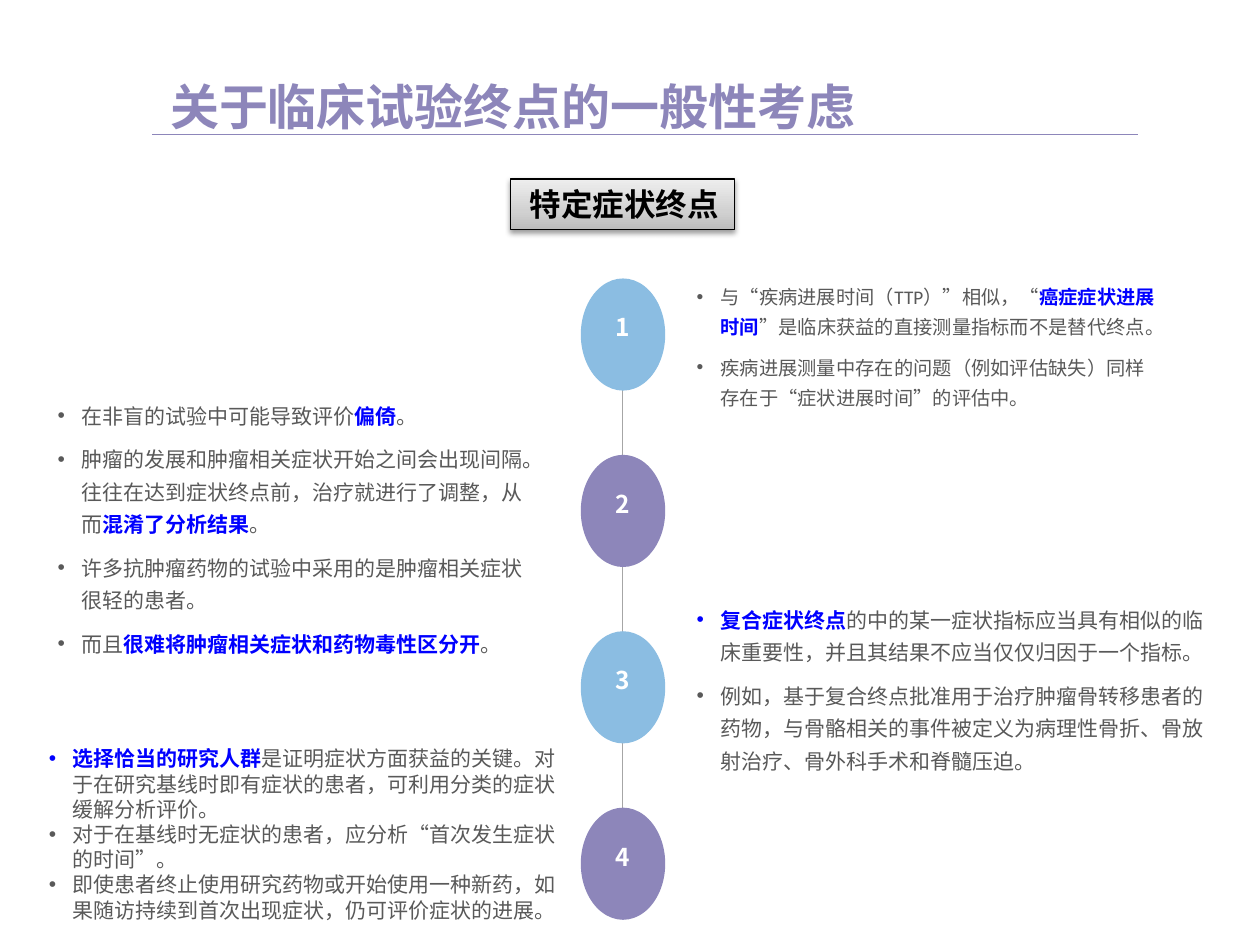
from pptx import Presentation
from pptx.dml.color import RGBColor
from pptx.enum.lang import MSO_LANGUAGE_ID
from pptx.enum.shapes import MSO_CONNECTOR, MSO_SHAPE
from pptx.enum.text import MSO_ANCHOR, MSO_AUTO_SIZE, PP_ALIGN
from pptx.oxml import parse_xml
from pptx.oxml.ns import nsdecls, qn
from pptx.util import Inches, Pt

RECT, OVAL = MSO_SHAPE.RECTANGLE, MSO_SHAPE.OVAL
LINE = MSO_CONNECTOR.STRAIGHT
TOP, GROW = MSO_ANCHOR.TOP, MSO_AUTO_SIZE.SHAPE_TO_FIT_TEXT
LEFT, CENTER = PP_ALIGN.LEFT, PP_ALIGN.CENTER
CHINESE = MSO_LANGUAGE_ID.SIMPLIFIED_CHINESE

PURPLE = RGBColor(0x8D, 0x86, 0xBA)
SKY = RGBColor(0x8B, 0xBD, 0xE2)
GRAY = RGBColor(0x59, 0x59, 0x59)
SILVER = RGBColor(0xA6, 0xA6, 0xA6)
BLUE = RGBColor(0x00, 0x00, 0xFF)
BLACK = RGBColor(0x00, 0x00, 0x00)
WHITE = RGBColor(0xFF, 0xFF, 0xFF)
STOPS = ((0, "BDBDBD"), (35, "D1D1D1"), (100, "EEEEEE"))

SANS, LATIN = "Noto Sans CJK SC", "Calibri"
TITLE = {"name": SANS, "size": Pt(28), "bold": True, "color": PURPLE}
HEAD = {"name": LATIN, "size": Pt(18), "bold": True, "color": BLACK}
DIGIT = {"name": SANS, "size": Pt(14), "bold": True, "color": WHITE}
SMALL = {"name": LATIN, "size": Pt(11), "bold": False, "color": GRAY}
BODY = {**SMALL, "size": Pt(12)}
STRONG = {"bold": True, "color": BLUE}
LOOSE = {"line_spacing": 1.3, "space_before": Pt(6)}
TIGHT = {"line_spacing": 1.0, "space_before": Pt(0)}

NOTES = (
    ((5.43, 2.16, 3.88, 1.15), SMALL, LOOSE, (
        "与“疾病进展时间（TTP）”相似，“*癌症症状进展时间*”是临床获益的直接测量指标而不是替代终点。",
        "疾病进展测量中存在的问题（例如评估缺失）同样存在于“症状进展时间”的评估中。")),
    ((5.43, 4.71, 4.22, 1.5), BODY, LOOSE, (
        "*复合症状终点*的中的某一症状指标应当具有相似的临床重要性，并且其结果不应当仅仅归因于一个指标。",
        "例如，基于复合终点批准用于治疗肿瘤骨转移患者的药物，与骨骼相关的事件被定义为病理性骨折、"
        "骨放射治疗、骨外科手术和脊髓压迫。")),
    ((0.36, 3.09, 4.05, 2.19), BODY, LOOSE, (
        "在非盲的试验中可能导致评价*偏倚*。",
        "肿瘤的发展和肿瘤相关症状开始之间会出现间隔。往往在达到症状终点前，治疗就进行了调整，"
        "从而*混淆了分析结果*。",
        "许多抗肿瘤药物的试验中采用的是肿瘤相关症状很轻的患者。",
        "而且*很难将肿瘤相关症状和药物毒性区分开*。")),
    ((0.29, 5.87, 4.32, 1.51), BODY, TIGHT, (
        "*选择恰当的研究人群*是证明症状方面获益的关键。对于在研究基线时即有症状的患者，"
        "可利用分类的症状缓解分析评价。",
        "对于在基线时无症状的患者，应分析“首次发生症状的时间”。",
        "即使患者终止使用研究药物或开始使用一种新药，如果随访持续到首次出现症状，仍可评价症状的进展。")),
)


class Deck:
    """Holds the style and the current slide, with a method for each kind of element."""

    def __init__(self, slide):
        self.shapes = slide.shapes

    def style(self, font, form):
        for key, value in {**form, "language_id": CHINESE}.items():
            if key == "color":
                font.color.rgb = value
            else:
                setattr(font, key, value)

    def frame(self, shape, wrap=True):
        frame = shape.text_frame
        form = {"word_wrap": wrap, "auto_size": GROW, "vertical_anchor": TOP}
        for key, value in form.items():
            setattr(frame, key, value)
        return frame

    def text(self, para, text, form, align=LEFT):
        para.alignment = align
        for i, part in enumerate(text.split("*")):
            if part:
                run = para.add_run()
                run.text = part
                self.style(run.font, {**form, **STRONG} if i % 2 else form)

    def line(self, x1, y1, x2, y2, color, width):
        line = self.shapes.add_connector(LINE, *map(Inches, (x1, y1, x2, y2)))
        line.line.color.rgb = color
        line.line.width = Pt(width)
        line._element.spPr.append(parse_xml(f"<a:effectLst {nsdecls('a')}/>"))

    def shape(self, home, kind, box, color):
        shape = home.add_shape(kind, *map(Inches, box))
        shape.shadow.inherit = False
        shape.fill.solid()
        shape.fill.fore_color.rgb = color
        shape.line.fill.background()
        return shape

    def badge(self, label, x, y, color):
        home = self.shapes.add_group_shape().shapes
        self.shape(home, OVAL, (x, y, 0.67, 0.89), color)
        tag = self.shape(home, RECT, (x + 0.17, y + 0.22, 0.32, 0.34), color)
        frame = self.frame(tag, wrap=False)
        self.text(frame.paragraphs[0], label, DIGIT, CENTER)

    def notes(self, box, form, gaps, lines):
        frame = self.frame(self.shapes.add_textbox(*map(Inches, box)))
        for i, text in enumerate(lines):
            para = frame.add_paragraph() if i else frame.paragraphs[0]
            for key, value in gaps.items():
                if i or key != "space_before":
                    setattr(para, key, value)
            props = para._p.get_or_add_pPr()
            props.set("marL", str(Inches(0.19)))
            props.set("indent", str(Inches(-0.19)))
            props.append(parse_xml(f'<a:buFont {nsdecls("a")} typeface="Arial"/>'))
            props.append(parse_xml(f'<a:buChar {nsdecls("a")} char="•"/>'))
            self.text(para, text, form)

    def title(self, text, box):
        frame = self.frame(self.shapes.add_textbox(*map(Inches, box)))
        for side in ("left", "top", "right", "bottom"):
            setattr(frame, f"margin_{side}", 0)
        self.text(frame.paragraphs[0], text, TITLE)

    def banner(self, text, box):
        shape = self.shapes.add_shape(RECT, *map(Inches, box))
        shape.line.color.rgb = BLACK
        shape.line.width = Pt(0.75)
        shape.shadow.inherit = False
        props = shape._element.spPr
        stops = "".join(
            f'<a:gs pos="{at * 1000}"><a:srgbClr val="{color}"/></a:gs>'
            for at, color in STOPS)
        props.find(qn("a:prstGeom")).addnext(parse_xml(
            f'<a:gradFill {nsdecls("a")} rotWithShape="1"><a:gsLst>{stops}</a:gsLst>'
            f'<a:lin ang="{270 * 60000}" scaled="1"/></a:gradFill>'))
        props.find(qn("a:effectLst")).append(parse_xml(
            f'<a:outerShdw {nsdecls("a")} blurRad="{Pt(3.1)}" dist="{Pt(1.6)}" '
            f'dir="{90 * 60000}" rotWithShape="0"><a:srgbClr val="000000">'
            f'<a:alpha val="38000"/></a:srgbClr></a:outerShdw>'))
        self.text(self.frame(shape).paragraphs[0], text, HEAD)


def main():
    show = Presentation()
    show.slide_width, show.slide_height = Inches(10), Inches(7.5)
    deck = Deck(show.slides.add_slide(show.slide_layouts[6]))
    deck.line(4.94, 2.73, 4.94, 6.93, SILVER, 1)
    for i in range(4):
        deck.badge(str(i + 1), 4.61, 2.21 + 1.4 * i, (SKY, PURPLE)[i % 2])
    for note in NOTES:
        deck.notes(*note)
    deck.line(1.21, 1.07, 9.03, 1.07, PURPLE, 0.75)
    deck.title("关于临床试验终点的一般性考虑", (1.35, 0.61, 5.79, 0.47))
    deck.banner(" 特定症状终点", (4.05, 1.42, 1.78, 0.4))
    show.save("out.pptx")


if __name__ == "__main__":
    main()
